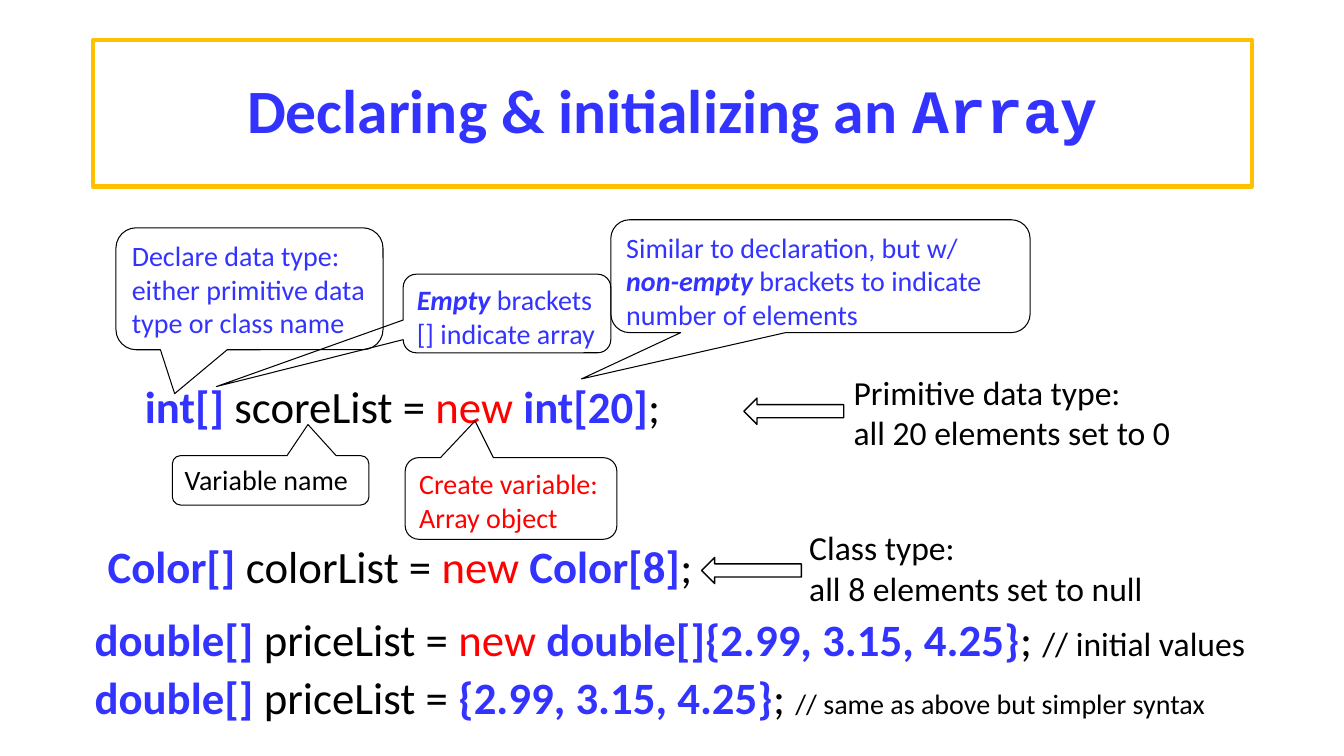
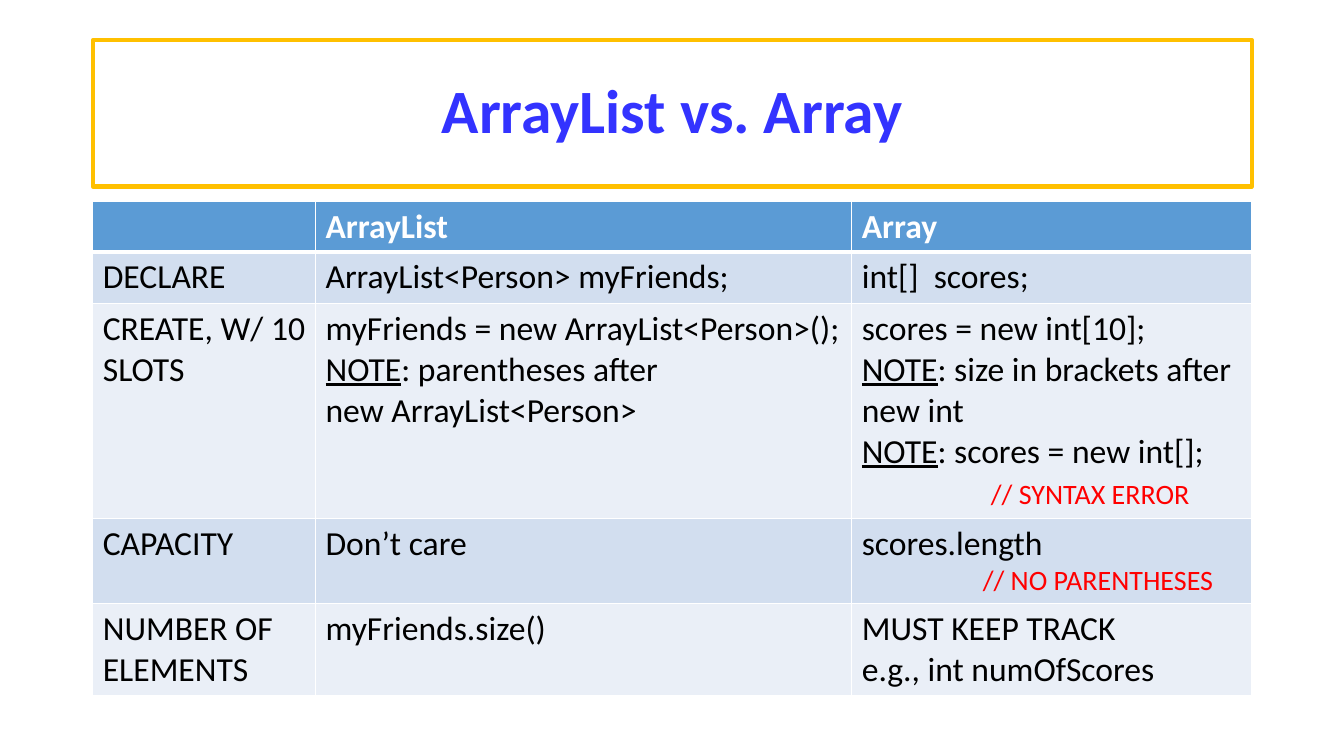
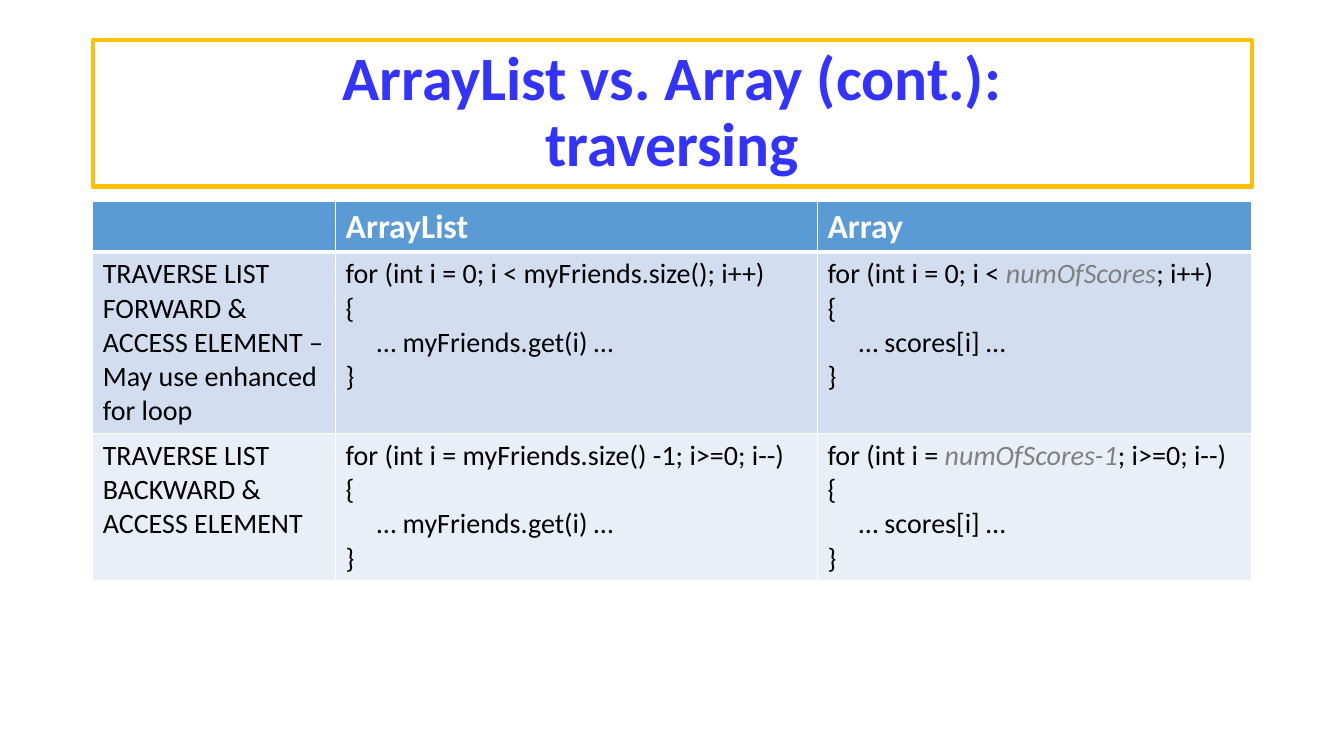
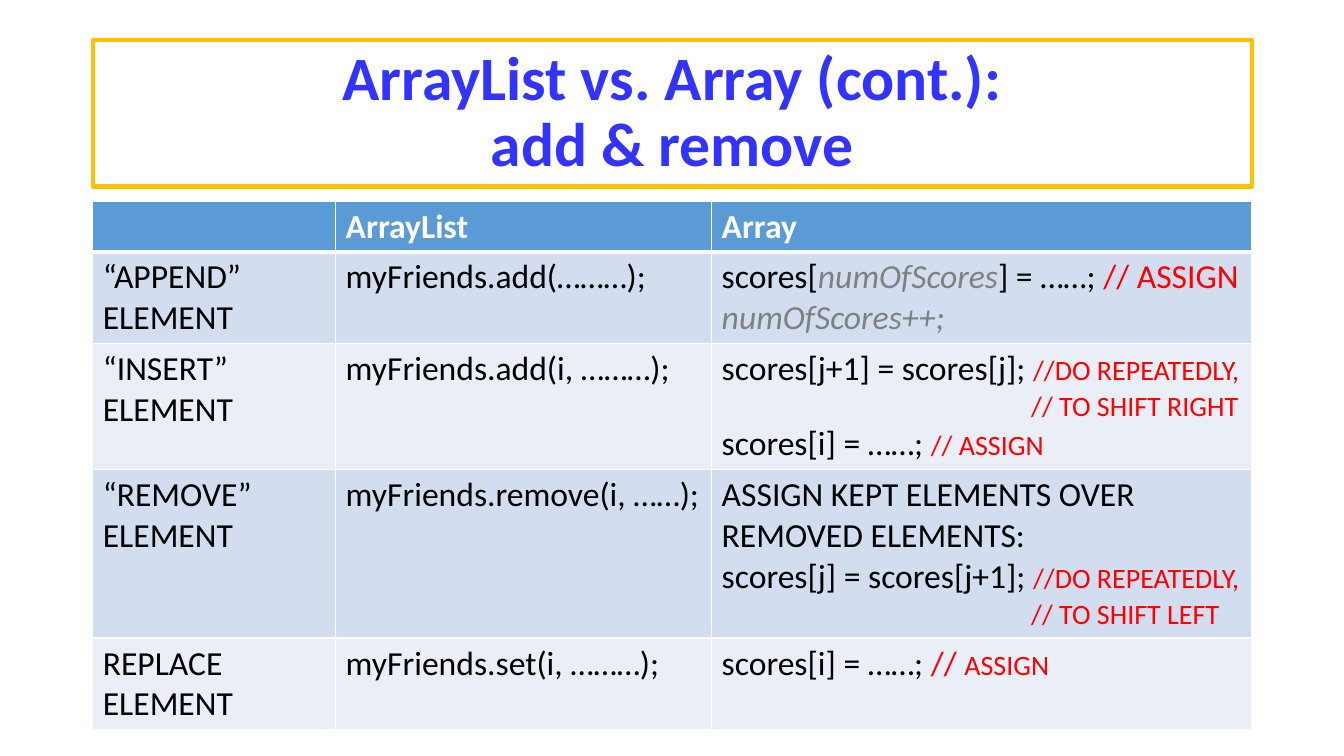
from dataclasses import dataclass, replace

from lxml import etree
from pptx import Presentation
from pptx import util as u
from pptx.dml.color import RGBColor
from pptx.enum import shapes, text
from pptx.oxml import ns

# Shared look
BLUE = RGBColor(0x33, 0x33, 0xFF)
RED = RGBColor(0xFF, 0x00, 0x00)
GRAY = RGBColor(0x80, 0x80, 0x80)
BLACK = RGBColor(0x00, 0x00, 0x00)
WHITE = RGBColor(0xFF, 0xFF, 0xFF)
GOLD = RGBColor(0xFF, 0xC0, 0x00)
HEADER_FILL = RGBColor(0x5B, 0x9B, 0xD5)
BAND_FILLS = (RGBColor(0xD2, 0xDE, 0xEF), RGBColor(0xEA, 0xEF, 0xF7))
BODY_FONT, CODE_FONT = "Calibri", "Courier New"

# Grid: ten columns or rows to the inch; boxes are (left, top, width, height)
GRID = u.Inches(0.1)
SLIDE_SIZE = (133.33, 75)
TITLE_BOX = (9.2, 4, 115, 14.5)
TABLE_BOX = (9.2, 20, 115, 52.4)
DIAGRAM_BOX = (8.4, 20, 117.2, 53)


@dataclass(frozen=True)
class Style:
    size: float
    color: RGBColor = BLACK
    bold: bool = False
    italic: bool = False
    underline: bool = False
    font: str = BODY_FONT


@dataclass(frozen=True)
class Line:
    """One paragraph: runs of (text, style), with its indent and space before."""
    runs: tuple
    indent: float = 0
    before: float = 0


TITLE = Style(44, BLUE, bold=True)
CODE = Style(32)
TYPE = Style(32, BLUE, bold=True)
NEW = Style(32, RED)
BLUE_NOTE = Style(20, BLUE)
STRESS = Style(20, BLUE, bold=True, italic=True)
CELL = Style(24)
SMALL = Style(20)
UNDERLINED = Style(24, underline=True)
COUNTER = Style(24, GRAY, italic=True)
SMALL_COUNTER = Style(20, GRAY, italic=True)
WARNING = Style(20, RED)
BIG_WARNING = Style(24, RED)
HEADER = Style(24, WHITE, bold=True)


def line(*runs, indent=0, before=0):
    return Line(runs, indent, before)


def lines(style, *words):
    return [line((word, style)) for word in words]


def grid(*counts):
    return [u.Emu(round(count * GRID)) for count in counts]


def within(box, left, top, width, height):
    return grid(box[0] + left, box[1] + top, width, height)


def write(frame, content):
    """Fill a text frame with lines, run by run."""
    for index, item in enumerate(content):
        paragraph = frame.add_paragraph() if index else frame.paragraphs[0]
        paragraph.alignment = text.PP_ALIGN.LEFT
        if item.indent:
            paragraph._p.get_or_add_pPr().set("marL", str(grid(item.indent)[0]))
        if item.before:
            paragraph.space_before = u.Pt(item.before)
        for words, style in item.runs:
            for part, piece in enumerate(words.split("\n")):
                if part:
                    paragraph.add_line_break()
                run = paragraph.add_run()
                run.text = piece
                font = run.font
                font.name, font.size = style.font, u.Pt(style.size)
                font.bold, font.italic = style.bold, style.italic
                font.underline = style.underline
                font.color.rgb = style.color


def add_outline(slide, kind, place, color, weight):
    shape = slide.shapes.add_shape(kind, *place)
    shape.shadow.inherit = False
    shape.fill.background()
    shape.line.color.rgb = color
    shape.line.width = u.Pt(weight)
    return shape


def add_title(slide, *runs):
    """Framed, centred title shared by all slides."""
    shape = add_outline(slide, shapes.MSO_SHAPE.RECTANGLE, grid(*TITLE_BOX), GOLD, 3)
    frame = shape.text_frame
    frame.word_wrap = True
    frame.vertical_anchor = text.MSO_ANCHOR.MIDDLE
    write(frame, [line(*runs)])
    frame.paragraphs[0].alignment = text.PP_ALIGN.CENTER
    frame.paragraphs[0].line_spacing = 0.9


def add_callout(slide, place, pointer, content):
    shape = add_outline(
        slide, shapes.MSO_SHAPE.ROUNDED_RECTANGULAR_CALLOUT, place, BLACK, 0.75)
    shape.adjustments[0], shape.adjustments[1] = pointer
    shape.text_frame.word_wrap = True
    shape.text_frame.vertical_anchor = text.MSO_ANCHOR.TOP
    write(shape.text_frame, content)


def add_text(slide, place, content):
    frame = slide.shapes.add_textbox(*place).text_frame
    frame.word_wrap = False
    write(frame, content)


def add_diagram(slide, box):
    """Annotated array declarations."""
    # Statements
    statements = [
        ((5, 17.1, 53.6), [("int[] ", TYPE), ("scoreList = ", CODE), ("new ", NEW),
                           ("int[20]", TYPE), (";", CODE)]),
        ((1.3, 33, 62.9), [("Color[] ", TYPE), ("colorList = ", CODE), ("new ", NEW),
                           ("Color[8]", TYPE), (";", CODE)]),
        ((0, 40.2, 117.2), [("double[] ", TYPE), ("priceList = ", CODE), ("new ", NEW),
                            ("double[]{2.99, 3.15, 4.25}", TYPE), ("; ", CODE),
                            ("// initial values", CELL)]),
        ((0, 45.9, 113.2), [("double[] ", TYPE), ("priceList = ", CODE),
                            ("{2.99, 3.15, 4.25}", TYPE), ("; ", CODE),
                            ("// same as above but simpler syntax", SMALL)]),
    ]
    for place, runs in statements:
        add_text(slide, within(box, *place, 6.4), [line(*runs)])

    # Callouts
    callouts = [
        ((3.1, 2.6, 26.5, 12.1), (-0.28, 0.86),
         lines(BLUE_NOTE, "Declare data type: either primitive data type or class name")),
        ((31.8, 25.4, 21, 8.1), (-0.17, -0.95),
         lines(WARNING, "Create variable:", "Array object")),
        ((8.7, 25.2, 19.5, 4.9), (0.19, -1.13), lines(SMALL, "Variable name")),
        ((52.2, 1.8, 41.6, 11.2), (-0.57, 0.91),
         [line(("Similar to declaration, but w/ ", BLUE_NOTE), ("non-empty", STRESS),
               (" brackets to indicate number of elements", BLUE_NOTE))]),
        ((31.6, 7.2, 20.6, 7.8), (-1.4, 0.93),
         [line(("Empty", STRESS), (" brackets [] indicate array", BLUE_NOTE))]),
    ]
    for place, pointer, content in callouts:
        add_callout(slide, within(box, *place), pointer, content)

    # Default values, each with an arrow back to its statement
    defaults = [
        ((75.3, 16.4, 33.7), (65.4, 19.5), ("Primitive data type:", "all 20 elements set to 0")),
        ((70.9, 31.8, 35.4), (61.2, 35.3), ("Class type:", "all 8 elements set to null")),
    ]
    for place, arrow, words in defaults:
        add_text(slide, within(box, *place, 9.1), lines(CELL, *words))
        add_outline(slide, shapes.MSO_SHAPE.LEFT_ARROW, within(box, *arrow, 9.9, 2.6), BLACK, 1)


def set_borders(cell, bottom):
    properties = cell._tc.get_or_add_tcPr()
    for side, weight in (("L", 1), ("R", 1), ("T", 1), ("B", bottom)):
        border = etree.SubElement(properties, ns.qn(f"a:ln{side}"), w=str(u.Pt(weight)))
        fill = etree.SubElement(border, ns.qn("a:solidFill"))
        etree.SubElement(fill, ns.qn("a:srgbClr"), val=str(WHITE))


def add_comparison(slide, box, columns, heights, rows):
    """Banded table: a label, the ArrayList way and the Array way."""
    header = [[], lines(HEADER, "ArrayList"), lines(HEADER, "Array")]
    rows = [header, *rows]
    table = slide.shapes.add_table(len(rows), len(columns), *grid(*box)).table
    for column, width in zip(table.columns, grid(*columns)):
        column.width = width
    for row, height in zip(table.rows, grid(*heights)):
        row.height = height
    for r, contents in enumerate(rows):
        for c, content in enumerate(contents):
            cell = table.cell(r, c)
            set_borders(cell, 1 if r else 3)
            cell.fill.solid()
            cell.fill.fore_color.rgb = BAND_FILLS[(r - 1) % 2] if r else HEADER_FILL
            write(cell.text_frame, content)


def loop(head, body):
    """A for loop in braces, with its body indented."""
    return [line(*head), *lines(SMALL, "{"),
            line((body, SMALL), indent=3.1), *lines(SMALL, "}")]


def shift(statement, direction):
    """A statement to repeat, with its comment on two lines."""
    return [line((statement, CELL), ("//DO REPEATEDLY,", WARNING)),
            line((f"// TO SHIFT {direction}", WARNING), indent=30.7)]


def basics_rows():
    return [
        [lines(CELL, "DECLARE"), lines(CELL, "ArrayList<Person> myFriends;"),
         lines(CELL, "int[]  scores;")],
        [lines(CELL, "CREATE, W/ 10 SLOTS"),
         [line(("myFriends = new ArrayList<Person>();", CELL)),
          line(("NOTE", UNDERLINED), (": parentheses after", CELL)),
          line(("new ArrayList<Person>", CELL))],
         [line(("scores = new int[10];", CELL)),
          line(("NOTE", UNDERLINED), (": size in brackets after", CELL)),
          line(("new int", CELL)),
          line(("NOTE", UNDERLINED), (": scores = new int[];", CELL)),
          line(("// SYNTAX ERROR", WARNING), indent=12.8, before=4)]],
        [lines(CELL, "CAPACITY"), lines(CELL, "Don’t care"),
         [line(("scores.length", CELL)),
          line(("// NO PARENTHESES", WARNING), indent=12)]],
        [lines(CELL, "NUMBER OF ELEMENTS"), lines(CELL, "myFriends.size()"),
         lines(CELL, "MUST KEEP TRACK", "e.g., int numOfScores")],
    ]


def traversing_rows():
    list_body, array_body = "… myFriends.get(i) …", "… scores[i] …"
    return [
        [lines(SMALL, "TRAVERSE LIST FORWARD & ACCESS ELEMENT –", "May use enhanced for loop"),
         loop([("for (int i = 0; i < myFriends.size(); i++)", SMALL)], list_body),
         loop([("for (int i = 0; i < ", SMALL), ("numOfScores", SMALL_COUNTER),
               ("; i++)", SMALL)], array_body)],
        [lines(SMALL, "TRAVERSE LIST BACKWARD & ACCESS ELEMENT"),
         loop([("for (int i = myFriends.size() -1; i>=0; i--)", SMALL)], list_body),
         loop([("for (int i = ", SMALL), ("numOfScores-1", SMALL_COUNTER),
               ("; i>=0; i--)", SMALL)], array_body)],
    ]


def editing_rows():
    return [
        [lines(CELL, "“APPEND” ELEMENT"), lines(CELL, "myFriends.add(………);"),
         [line(("scores[", CELL), ("numOfScores", COUNTER), ("] = ……; ", CELL),
               ("// ASSIGN", BIG_WARNING)),
          line(("numOfScores++;", COUNTER))]],
        [lines(CELL, "“INSERT” ELEMENT"), lines(CELL, "myFriends.add(i, ………);"),
         [*shift("scores[j+1] = scores[j]; ", "RIGHT"),
          line(("scores[i] = ……; ", CELL), ("// ASSIGN", WARNING))]],
        [lines(CELL, "“REMOVE” ELEMENT"), lines(CELL, "myFriends.remove(i, ……);"),
         [line(("ASSIGN KEPT ELEMENTS OVER REMOVED ELEMENTS:", CELL)),
          *shift("scores[j] = scores[j+1]; ", "LEFT")]],
        [lines(CELL, "REPLACE ELEMENT"), lines(CELL, "myFriends.set(i, ………);"),
         [line(("scores[i] = ……; ", CELL), ("// ", BIG_WARNING), ("ASSIGN", WARNING))]],
    ]


def main():
    presentation = Presentation()
    presentation.slide_width, presentation.slide_height = grid(*SLIDE_SIZE)
    blank = presentation.slide_layouts[6]

    # Declarations
    slide = presentation.slides.add_slide(blank)
    add_title(slide, ("Declaring & initializing an ", TITLE),
              ("Array", replace(TITLE, font=CODE_FONT)))
    add_diagram(slide, DIAGRAM_BOX)

    # Comparisons: title, column widths, row heights, rows
    comparisons = [
        ("ArrayList vs. Array", (22.1, 53.2, 39.7),
         (5, 5.1, 21.3, 8.5, 9.1), basics_rows()),
        ("ArrayList vs. Array (cont.):\ntraversing", (24.1, 47.8, 43.1),
         (5, 18, 14.6), traversing_rows()),
        ("ArrayList vs. Array (cont.):\nadd & remove", (24.1, 37.3, 53.6),
         (5, 9.1, 12.5, 16.7, 9.1), editing_rows()),
    ]
    for title, columns, heights, rows in comparisons:
        slide = presentation.slides.add_slide(blank)
        add_title(slide, (title, TITLE))
        add_comparison(slide, TABLE_BOX, columns, heights, rows)

    presentation.save("out.pptx")


if __name__ == "__main__":
    main()
